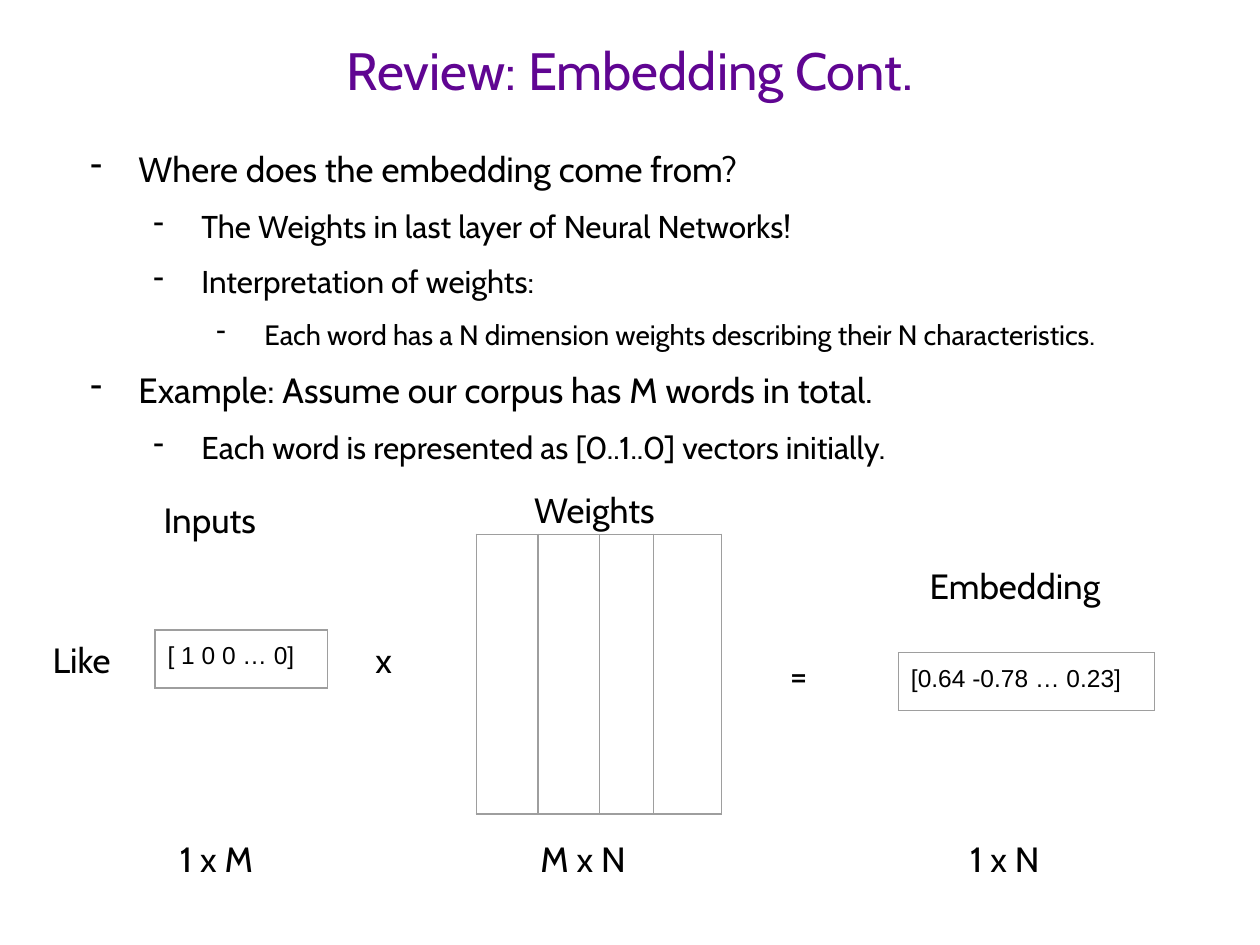
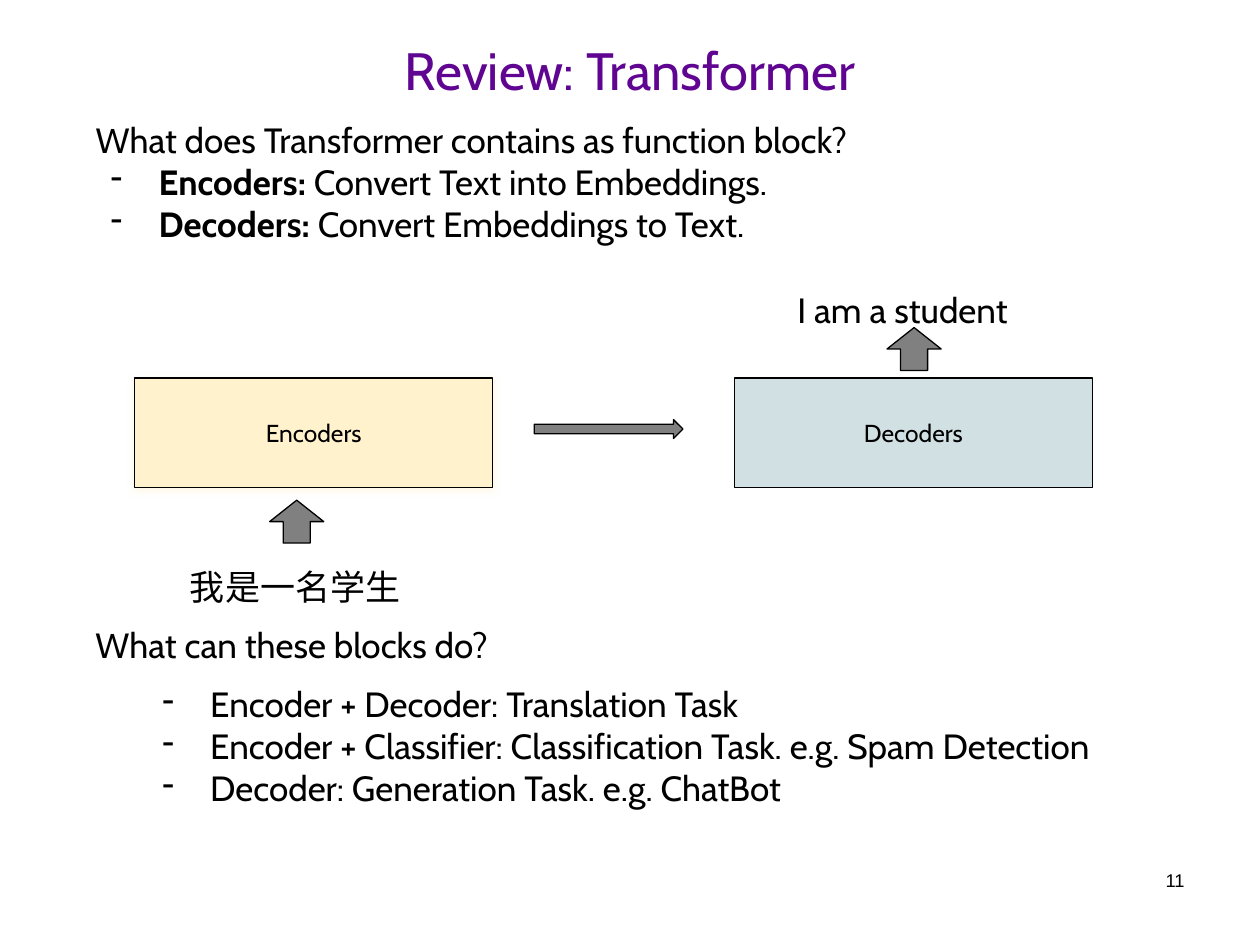
from pptx import Presentation
from pptx.util import Inches, Pt
from pptx.dml.color import RGBColor
from pptx.enum.shapes import MSO_SHAPE
from pptx.enum.text import MSO_ANCHOR, PP_ALIGN
from pptx.oxml import parse_xml
from pptx.oxml.ns import nsdecls

PURPLE, BLACK, GRAY, EDGE = "600592", "000000", "808080", "9E9E9E"
CREAM, BLUE = "FFF2CC", "D0E0E3"
hue = RGBColor.from_string


def write(frame, lines, size=20, color=BLACK, font="Cabin", align=PP_ALIGN.LEFT, gap=0):
    """Fill a frame; a line is text or (indent, size, text), and "|" ends a bold start."""
    for i, line in enumerate(lines):
        para = frame.paragraphs[0] if i == 0 else frame.add_paragraph()
        indent, points, text = (0, size, line) if isinstance(line, str) else line
        para.alignment = align
        if i:
            para.space_before = Pt(gap)
        if indent:
            props = para._p.get_or_add_pPr()
            props.set("marL", str(Inches(indent)))
            props.set("indent", str(Inches(-0.38)))
            props.append(parse_xml(
                f'<a:buClr {nsdecls("a")}><a:srgbClr val="{BLACK}"/></a:buClr>'))
            props.append(parse_xml(f'<a:buChar {nsdecls("a")} char="-"/>'))
        lead, bar, rest = text.partition("|")
        para.text = lead
        if bar:
            para.runs[0].font.bold = True
            para.add_run().text = rest
        for run in para.runs:
            run.font.name = font
            run.font.size = Pt(points)
            run.font.color.rgb = hue(color)


def label(slide, box, lines, inset=0.1, anchor=MSO_ANCHOR.TOP, **style):
    """Add a wrapping text box."""
    frame = slide.shapes.add_textbox(*map(Inches, box)).text_frame
    frame.word_wrap = True
    frame.vertical_anchor = anchor
    frame.margin_left = frame.margin_right = Inches(0.1)
    frame.margin_top = frame.margin_bottom = Inches(inset)
    write(frame, lines, **style)


deck = Presentation()
deck.slide_width, deck.slide_height = Inches(10), Inches(7.5)
slides = []
for title in ("Review: Embedding Cont.", "Review: Transformer"):
    slide = deck.slides.add_slide(deck.slide_layouts[6])
    label(slide, (0.5, 0.15, 9, 0.8), [title], inset=0.05, anchor=MSO_ANCHOR.MIDDLE,
          size=30, color=PURPLE, align=PP_ALIGN.CENTER)
    slides.append(slide)
embed, model = slides

# Embedding: outline
label(embed, (0.5, 1.12, 9, 5.26), [
    (0.5, 20, "Where does the embedding come from?"),
    (1, 18, "The Weights in last layer of Neural Networks!"),
    (1, 18, "Interpretation of weights:"),
    (1.5, 16, "Each word has a N dimension weights describing their N characteristics."),
    (0.5, 20, "Example: Assume our corpus has M words in total."),
    (1, 18, "Each word is represented as [0..1..0] vectors initially."),
], inset=0.05, gap=10)

# Embedding: input x weights = result
for left, top, widths, height, text in (
    (1.23, 5, [1.37], 0.46, "[ 1 0 0 … 0]"),
    (3.78, 4.24, [0.49, 0.49, 0.43, 0.54], 2.22, ""),
    (7.13, 5.18, [2.03], 0.46, "[0.64 -0.78 … 0.23]"),
):
    table = embed.shapes.add_table(1, len(widths), Inches(left), Inches(top),
                                   Inches(sum(widths)), Inches(height)).table
    table.first_row = table.horz_banding = False
    for col, width in zip(table.columns, widths):
        col.width = Inches(width)
    for cell in table.iter_cells():
        cell.margin_top = cell.margin_bottom = Inches(0.1)
        props = cell._tc.get_or_add_tcPr()
        for side in ("lnL", "lnR", "lnT", "lnB"):
            props.append(parse_xml(
                f'<a:{side} {nsdecls("a")} w="{Pt(0.75)}"><a:solidFill>'
                f'<a:srgbClr val="{EDGE}"/></a:solidFill></a:{side}>'))
        cell.fill.background()
        if text:
            write(cell.text_frame, [text], size=14, font="Arial")

for left, top, width, text in (
    (1.2, 3.86, 1.28, "Inputs"),
    (4.14, 3.78, 1.22, "Weights"),
    (7.28, 4.38, 1.61, "Embedding"),
    (0.32, 4.97, 0.7, "Like"),
    (2.88, 4.97, 0.45, "x"),
    (6.17, 5.09, 0.45, "="),
    (1.33, 6.55, 1, "1 x M"),
    (4.19, 6.55, 1.12, "M x N"),
    (7.6, 6.55, 1.22, "1 x N"),
):
    label(embed, (left, top, width, 0.52), [text])

# Transformer: blocks and arrows
for kind, box, fill, text in (
    (MSO_SHAPE.RECTANGLE, (1.07, 3, 2.84, 0.87), CREAM, "Encoders"),
    (MSO_SHAPE.RECTANGLE, (5.83, 3, 2.84, 0.87), BLUE, "Decoders"),
    (MSO_SHAPE.RIGHT_ARROW, (4.24, 3.33, 1.18, 0.15), GRAY, ""),
    (MSO_SHAPE.UP_ARROW, (2.14, 3.97, 0.43, 0.34), GRAY, ""),
    (MSO_SHAPE.UP_ARROW, (7.04, 2.6, 0.43, 0.34), GRAY, ""),
):
    shape = model.shapes.add_shape(kind, *map(Inches, box))
    shape.shadow.inherit = False
    shape.fill.solid()
    shape.fill.fore_color.rgb = hue(fill)
    shape.line.color.rgb = hue(BLACK)
    shape.line.width = Pt(0.75)
    if text:
        shape.text_frame.vertical_anchor = MSO_ANCHOR.MIDDLE
        write(shape.text_frame, [text], size=14, align=PP_ALIGN.CENTER)
    if fill == CREAM:
        shape._element.spPr.find("{*}effectLst").append(parse_xml(
            f'<a:outerShdw {nsdecls("a")} blurRad="{Pt(4.5)}" dist="{Pt(1.5)}" '
            f'dir="5400000" algn="bl" rotWithShape="0"><a:srgbClr val="{CREAM}">'
            '<a:alpha val="50000"/></a:srgbClr></a:outerShdw>'))

# Transformer: text
for box, lines in (
    ((1.41, 4.39, 1.9, 0.34), ["我是一名学生"]),
    ((6.23, 2.19, 2.18, 0.34), ["I am a student"]),
    ((0.66, 0.84, 7.98, 1.28), [
        "What does Transformer contains as function block?",
        (0.5, 20, "Encoders: |Convert Text into Embeddings."),
        (0.5, 20, "Decoders: |Convert Embeddings to Text."),
    ]),
    ((0.66, 4.85, 6.77, 0.64), ["What can these blocks do?"]),
    ((1.07, 5.32, 8.43, 1.21), [
        (0.5, 20, "Encoder + Decoder: Translation Task"),
        (0.5, 20, "Encoder + Classifier: Classification Task. e.g. Spam Detection"),
        (0.5, 20, "Decoder: Generation Task. e.g. ChatBot"),
    ]),
):
    label(model, box, lines)
label(model, (7.17, 6.85, 2.33, 0.52), ["11"], inset=0.05, size=10.5,
      font="Arial", align=PP_ALIGN.RIGHT)

deck.save("out.pptx")
